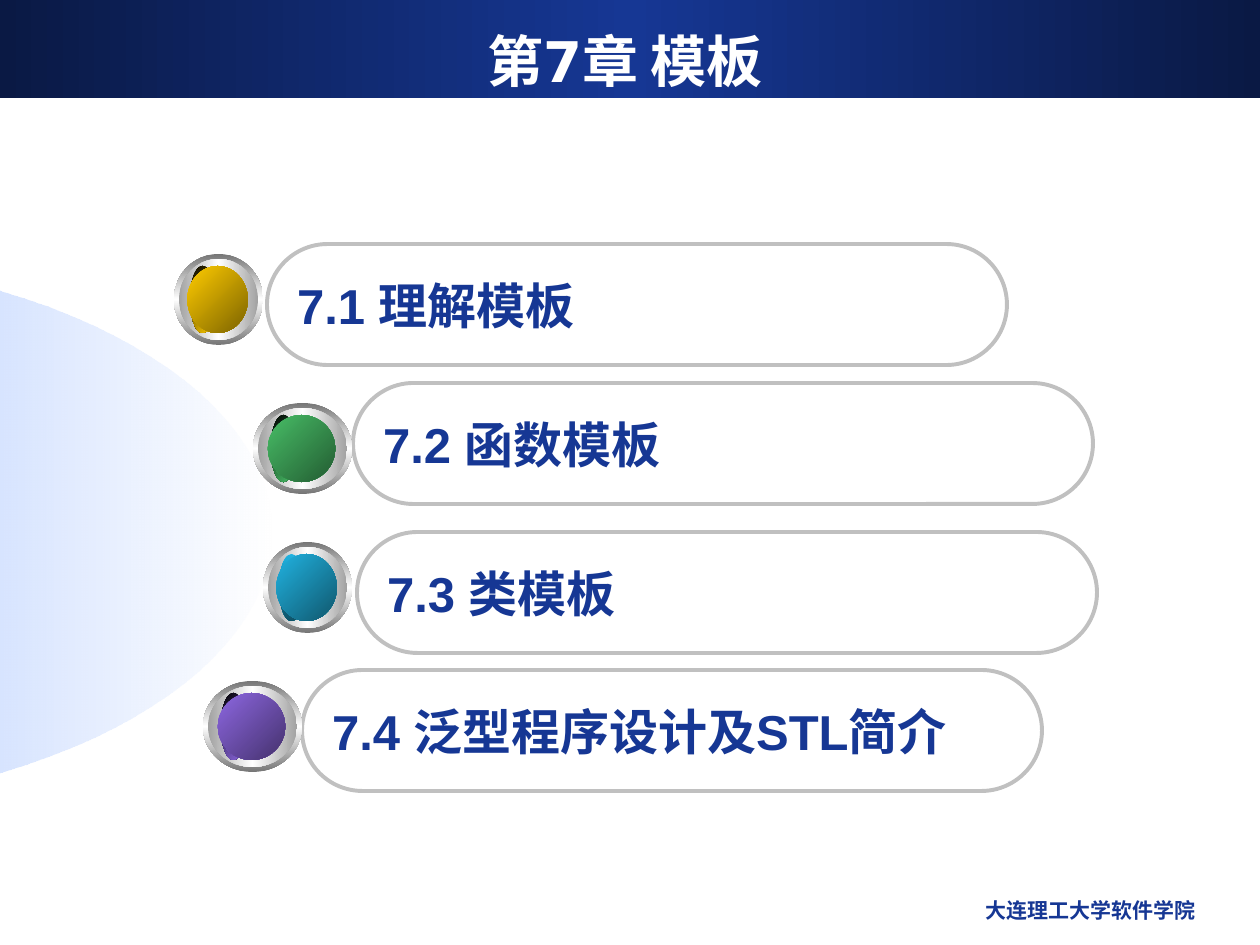
import math

import pptx
import pptx.dml.color
import pptx.enum.shapes
import pptx.enum.text
import pptx.oxml
import pptx.oxml.ns
import pptx.util
import lxml.etree

SCALE = 914400 / 126
NAVY = "163794"
DARK_NAVY = "0A1944"
WHITE = "FFFFFF"
SILVER = "C0C0C0"
SHAPES = pptx.enum.shapes.MSO_SHAPE
ALIGN = pptx.enum.text.PP_ALIGN
ANCHOR = pptx.enum.text.MSO_ANCHOR
NO_FIT = pptx.enum.text.MSO_AUTO_SIZE.NONE

SECTIONS = [
    {"text": "7.1 理解模板", "pill": (267, 244), "badge": (174, 254, 89),
     "sliver": ("000000", "FFCC00", 45), "core": ("FFCC00", "7C6300", 45)},
    {"text": "7.2 函数模板", "pill": (353, 383), "badge": (253, 403, 99),
     "sliver": ("000000", "48BE67", 45), "core": ("48BE67", "235C32", 45)},
    {"text": "7.3 类模板", "pill": (357, 532), "badge": (263, 542, 89),
     "sliver": ("21B3E1", "0F5368", 90), "core": ("21B3E1", "10576D", 45)},
    {"text": "7.4 泛型程序设计及STL简介", "pill": (302, 670), "badge": (203, 681, 99),
     "sliver": ("000000", "8D67E1", 45), "core": ("8D67E1", "45326D", 45)},
]


def px(value):
    return round(value * SCALE)


def color(value):
    return pptx.dml.color.RGBColor.from_string(value)


def apply_format(target, values):
    for name, value in values.items():
        setattr(target, name, value)


def place(shape, box):
    apply_format(shape, dict(zip(("left", "top", "width", "height"), map(px, box))))


def set_gradient(shape, stops, angle):
    shape.fill.gradient()
    qn = pptx.oxml.ns.qn
    gradient = shape._element.spPr.find(qn("a:gradFill"))
    for child in list(gradient):
        gradient.remove(child)
    stop_list = lxml.etree.SubElement(gradient, qn("a:gsLst"))
    for position, value, alpha in stops:
        stop = lxml.etree.SubElement(stop_list, qn("a:gs"), pos=str(position * 1000))
        tint = lxml.etree.SubElement(stop, qn("a:srgbClr"), val=value)
        if alpha < 100:
            lxml.etree.SubElement(tint, qn("a:alpha"), val=str(alpha * 1000))
    lxml.etree.SubElement(gradient, qn("a:lin"), ang=str(angle * 60000), scaled="0")
    shape.shadow.inherit = False
    shape.line.fill.background()


def even_stops(*values):
    return [(100 * index // (len(values) - 1), value, 100)
            for index, value in enumerate(values)]


def write_text(shape, text, frame_format, alignment, font_format, font_color):
    frame = shape.text_frame
    apply_format(frame, frame_format)
    paragraph = frame.paragraphs[0]
    paragraph.alignment = alignment
    run = paragraph.add_run()
    run.text = text
    apply_format(run.font, font_format)
    run.font.color.rgb = color(font_color)


def add_header(slide, box):
    left, top, width, height = box
    band = slide.shapes.add_shape(SHAPES.RECTANGLE, *map(px, box))
    set_gradient(band, even_stops(DARK_NAVY, NAVY, DARK_NAVY), 0)
    title = slide.shapes.title
    title._element.addprevious(band._element)
    place(title, (left + 42, top + 21, width - 94, height - 20))
    write_text(title, "第7章 模板",
               {"vertical_anchor": ANCHOR.MIDDLE, "word_wrap": True, "auto_size": NO_FIT},
               ALIGN.CENTER,
               {"name": "DejaVu Sans", "size": pptx.util.Pt(32), "bold": True}, WHITE)


def add_dome(slide, box):
    left, top, width, height = box
    radius = height / 2
    angles = [math.radians(degree) for degree in range(-90, 91, 3)]
    points = [(px(left + width * math.cos(angle)),
               px(top + radius + radius * math.sin(angle))) for angle in angles]
    builder = slide.shapes.build_freeform(*points[0])
    builder.add_line_segments(points[1:], close=True)
    dome = builder.convert_to_shape()
    set_gradient(dome, [(0, "6699FF", 56), (100, WHITE, 48)], 0)


def add_pill(slide, box, text):
    pill = slide.shapes.add_shape(SHAPES.ROUNDED_RECTANGLE, *map(px, box))
    pill.adjustments[0] = 0.5
    pill.shadow.inherit = False
    pill.fill.background()
    pill.line.color.rgb = color(SILVER)
    pill.line.width = pptx.util.Pt(2.25)
    write_text(pill, text, {"vertical_anchor": ANCHOR.MIDDLE, "word_wrap": False},
               ALIGN.LEFT,
               {"name": "Arial", "size": pptx.util.Pt(28), "bold": True}, NAVY)


def add_badge(slide, box, sliver, core):
    left, top, width, height = box
    group = slide.shapes.add_group_shape()
    layers = [
        (box, ("767676", WHITE, "767676", 90)),
        ((left + 5, top + 5, width - 10, height - 10), ("A2A2A2", WHITE, "A2A2A2", 0)),
        ((left + 0.18 * width, top + 12, 25, height - 24), sliver),
        ((left + 0.15 * width, top + 12, 0.68 * width, height - 24), core),
    ]
    for layer_box, (*values, angle) in layers:
        ellipse = group.shapes.add_shape(SHAPES.OVAL, *map(px, layer_box))
        set_gradient(ellipse, even_stops(*values), angle)


def add_footer(slide, box):
    footer = slide.shapes.add_textbox(*map(px, box))
    write_text(footer, "大连理工大学软件学院", {"word_wrap": True}, ALIGN.RIGHT,
               {"name": "Arial", "size": pptx.util.Pt(12), "bold": True}, NAVY)


def main():
    presentation = pptx.Presentation()
    apply_format(presentation, {"slide_width": px(1260), "slide_height": px(945)})
    slide = presentation.slides.add_slide(presentation.slide_layouts[5])
    add_header(slide, (0, 0, 1260, 98))
    add_footer(slide, (809, 891, 399, 44))
    add_dome(slide, (-271, 254, 542, 556))
    for section in SECTIONS:
        add_pill(slide, (*section["pill"], 740, 121), section["text"])
        add_badge(slide, (*section["badge"], 91), section["sliver"], section["core"])
    presentation.save("out.pptx")


if __name__ == "__main__":
    main()
